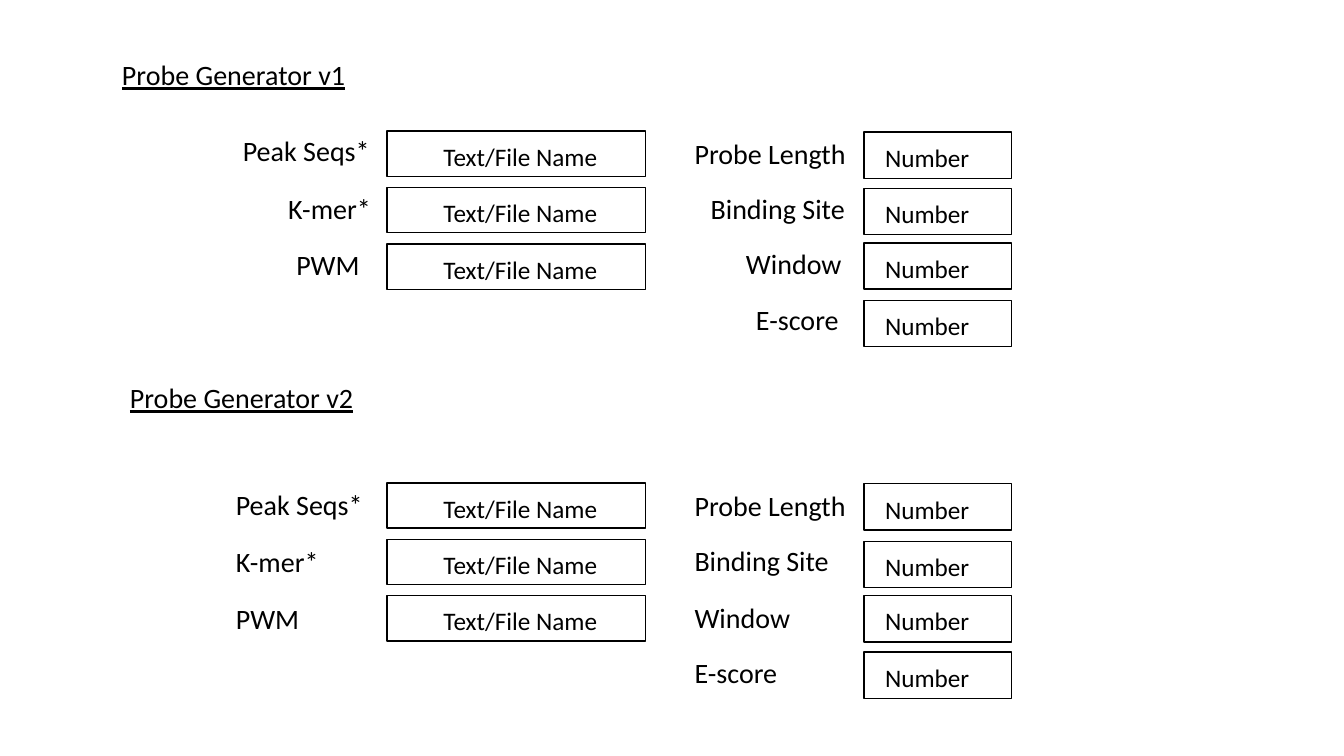
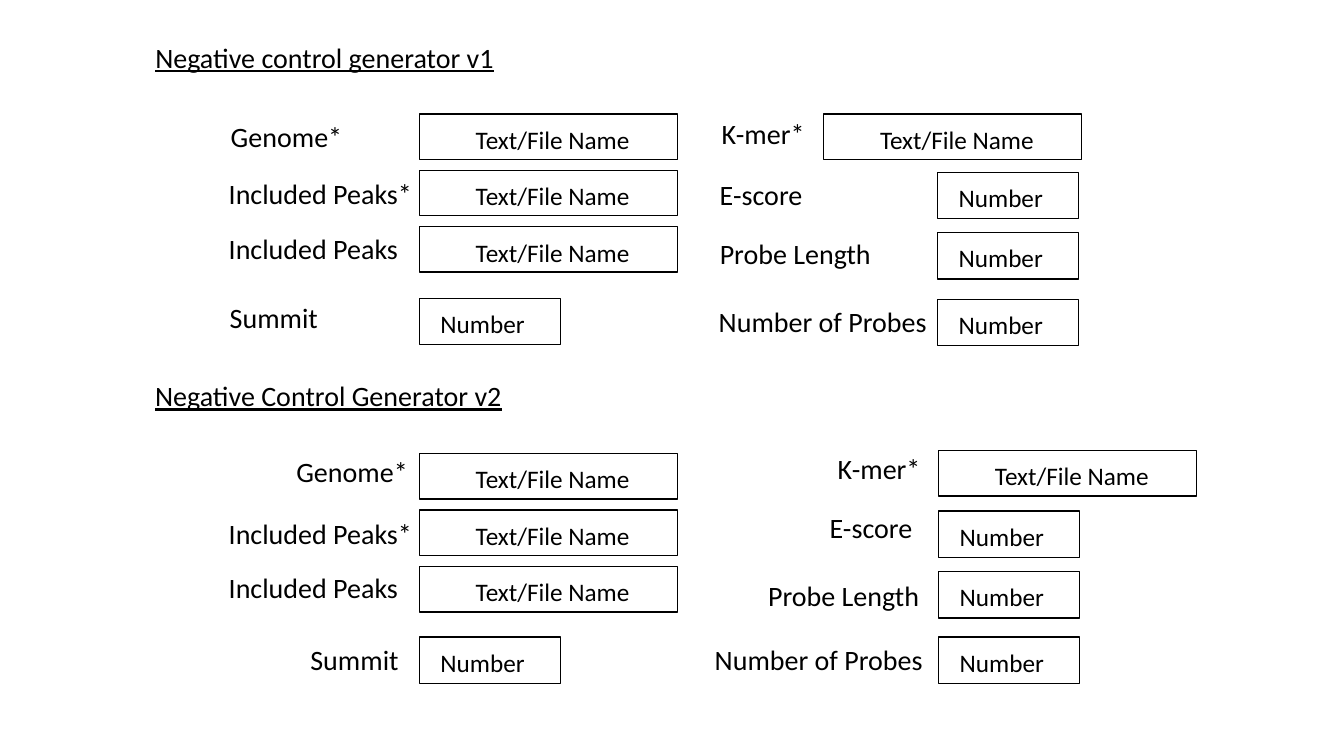
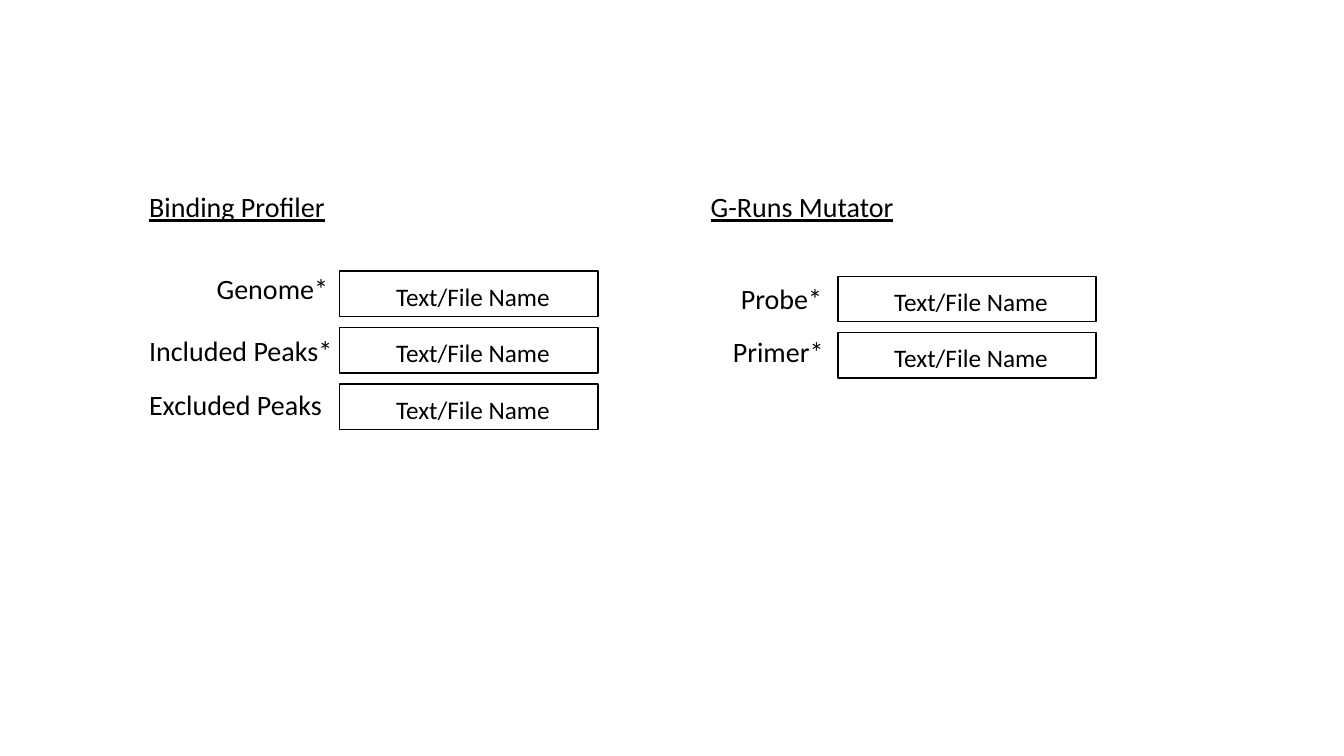
from pptx import Presentation
from pptx.dml.color import RGBColor
from pptx.enum.shapes import MSO_SHAPE as SHAPE
from pptx.enum.text import MSO_ANCHOR as ANCHOR, MSO_AUTO_SIZE as AUTO, PP_ALIGN as ALIGN
from pptx.util import Inches, Pt


def color(value):
    return RGBColor.from_string(value)


def write(sp, text, x, y, w, h, size, underline=None):
    sp.left, sp.top, sp.width, sp.height = [Inches(v) for v in (x, y, w, h)]
    tf = sp.text_frame
    frame = {"word_wrap": True, "auto_size": AUTO.SHAPE_TO_FIT_TEXT, "vertical_anchor": ANCHOR.TOP}
    for name, value in frame.items():
        setattr(tf, name, value)
    p = tf.paragraphs[0]
    p.alignment = ALIGN.LEFT
    r = p.add_run()
    r.text = text
    font = {"name": "Calibri", "size": Pt(size), "underline": underline}
    for name, value in font.items():
        setattr(r.font, name, value)
    r.font.color.rgb = color(INK)


INK, PAPER = "000000", "FFFFFF"
ROW = 0.56
FIELDS = {
    "file": {"text": "Text/File Name", "w": 2.56, "h": 0.45, "inset": 0.46, "text_w": 1.75},
    "number": {"text": "Number", "w": 1.4, "h": 0.46, "inset": 0.11, "text_w": 1.05},
    "wide number": {"text": "Number", "w": 1.46, "h": 0.46, "inset": 0.11, "text_w": 1.1},
}

# heading: text, x, y, w
# column: field, x, y of each field, labels as text, x, y, w
slides = [
    {
        "headings": [("Probe Generator v1", 1.11, 0.52, 2.91), ("Probe Generator v2", 1.19, 3.73, 2.91)],
        "columns": [
            ("file", 3.84, [1.3 + ROW * i for i in range(3)], [
                ("Peak Seqs*", 2.31, 1.28, 1.51), ("K-mer*", 2.76, 1.85, 1.14), ("PWM", 2.84, 2.41, 1.78)]),
            ("wide number", 8.57, [1.31, 1.87, 2.41, 2.98], [
                ("Probe Length", 6.79, 1.31, 2.42), ("Binding Site", 6.95, 1.85, 2.24),
                ("Window", 7.3, 2.4, 2.42), ("E-score", 7.4, 2.95, 2.24)]),
            ("file", 3.84, [4.79 + ROW * i for i in range(3)], [
                ("Peak Seqs*", 2.24, 4.79, 1.51), ("K-mer*", 2.24, 5.35, 1.14), ("PWM", 2.24, 5.92, 1.78)]),
            ("wide number", 8.57, [4.8, 5.37, 5.91, 6.47], [
                ("Probe Length", 6.79, 4.8, 2.42), ("Binding Site", 6.79, 5.34, 2.24),
                ("Window", 6.79, 5.91, 2.42), ("E-score", 6.79, 6.45, 2.24)]),
        ],
    },
    {
        "headings": [("Negative control generator v1", 1.44, 0.35, 3.9),
                     ("Negative Control Generator v2", 1.44, 3.71, 3.9)],
        "columns": [
            ("file", 4.16, [1.13 + ROW * i for i in range(3)], [
                ("Genome*", 2.19, 1.14, 1.51), ("Included Peaks*", 2.17, 1.7, 2.05),
                ("Included Peaks", 2.17, 2.25, 1.95)]),
            ("number", 4.16, [2.96], [("Summit", 2.18, 2.93, 2.17)]),
            ("file", 8.17, [1.13], [("K-mer*", 7.06, 1.11, 1.51)]),
            ("number", 9.3, [1.71, 2.31, 2.97], [
                ("E-score", 7.04, 1.71, 2.17), ("Probe Length", 7.04, 2.3, 2.42),
                ("Number of Probes", 7.03, 2.97, 2.42)]),
            ("file", 4.16, [4.5 + ROW * i for i in range(3)], [
                ("Genome*", 2.84, 4.46, 1.51), ("Included Peaks*", 2.17, 5.07, 2.05),
                ("Included Peaks", 2.17, 5.61, 1.95)]),
            ("number", 4.16, [6.32], [("Summit", 2.98, 6.33, 1.09)]),
            ("file", 9.31, [4.47], [("K-mer*", 8.21, 4.43, 1.51)]),
            ("number", 9.31, [5.07, 5.67, 6.32], [
                ("E-score", 8.13, 5.02, 1.15), ("Probe Length", 7.52, 5.69, 1.74),
                ("Number of Probes", 6.99, 6.32, 2.42)]),
        ],
    },
    {
        "headings": [("Binding Profiler", 1.38, 1.83, 3.9), ("G-Runs Mutator", 6.95, 1.83, 2.33)],
        "columns": [
            ("file", 3.37, [2.69 + ROW * i for i in range(3)], [
                ("Genome*", 2.05, 2.64, 1.51), ("Included Peaks*", 1.38, 3.26, 2.05),
                ("Excluded Peaks", 1.38, 3.8, 1.95)]),
            ("file", 8.31, [2.74 + ROW * i for i in range(2)], [
                ("Probe*", 7.25, 2.74, 1.14), ("Primer*", 7.17, 3.27, 1.14)]),
        ],
    },
]

prs = Presentation()
prs.slide_width, prs.slide_height = Inches(13.33), Inches(7.5)

for page in slides:
    s = prs.slides.add_slide(prs.slide_layouts[5])
    second = s.shapes.add_textbox(0, 0, 0, 0)
    for sp, (text, x, y, w) in zip((s.shapes.title, second), page["headings"]):
        write(sp, text, x, y, w, 0.44, 20, underline=True)

    for kind, box_x, box_tops, labels in page["columns"]:
        field = FIELDS[kind]
        for box_y, (text, x, y, w) in zip(box_tops, labels):
            group = s.shapes.add_group_shape()
            box = group.shapes.add_shape(
                SHAPE.RECTANGLE, Inches(box_x), Inches(box_y), Inches(field["w"]), Inches(field["h"]))
            box.shadow.inherit = False
            box.fill.solid()
            box.fill.fore_color.rgb = color(PAPER)
            box.line.color.rgb = color(INK)
            box.line.width = Pt(1)
            entry = group.shapes.add_textbox(box.left, box.top, box.width, box.height)
            write(entry, field["text"], box_x + field["inset"], box_y + 0.05,
                  field["text_w"], field["h"] - 0.1, 18)
            label = s.shapes.add_textbox(0, 0, 0, 0)
            write(label, text, x, y, w, 0.44, 20)

prs.save("out.pptx")
